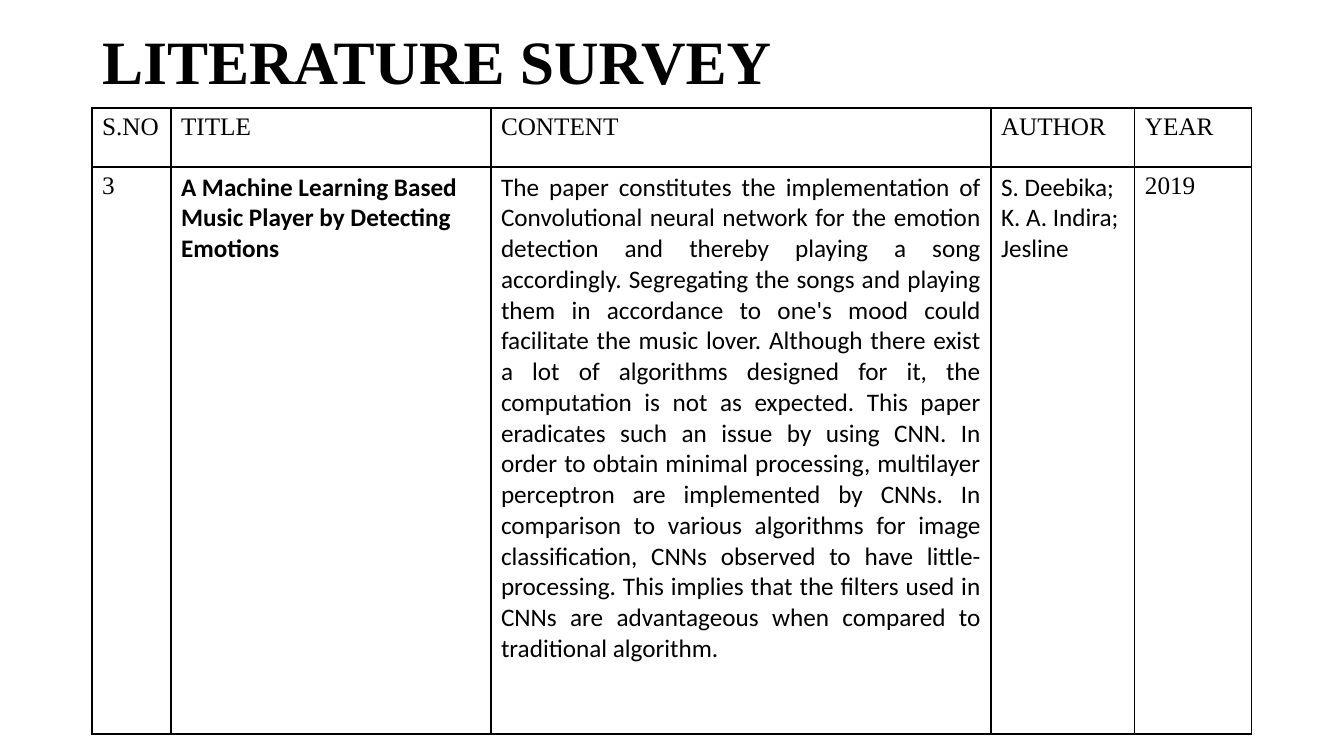
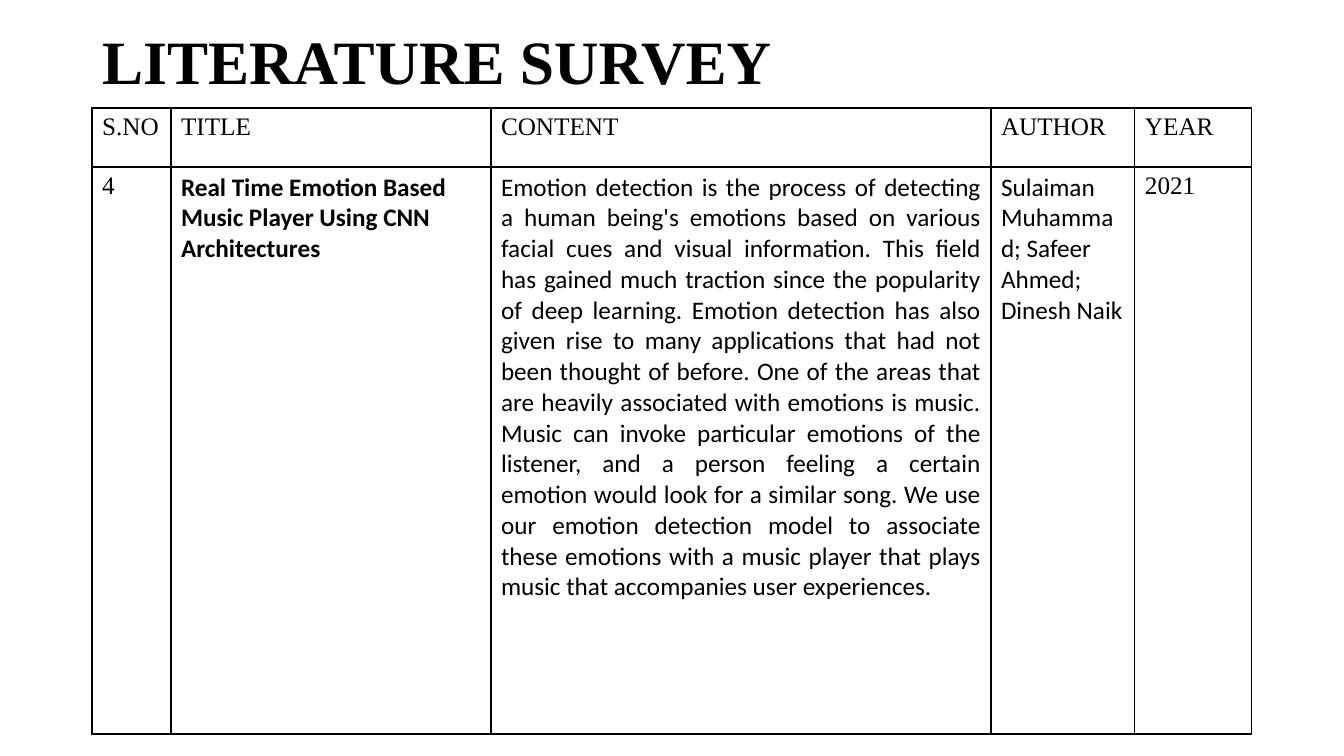
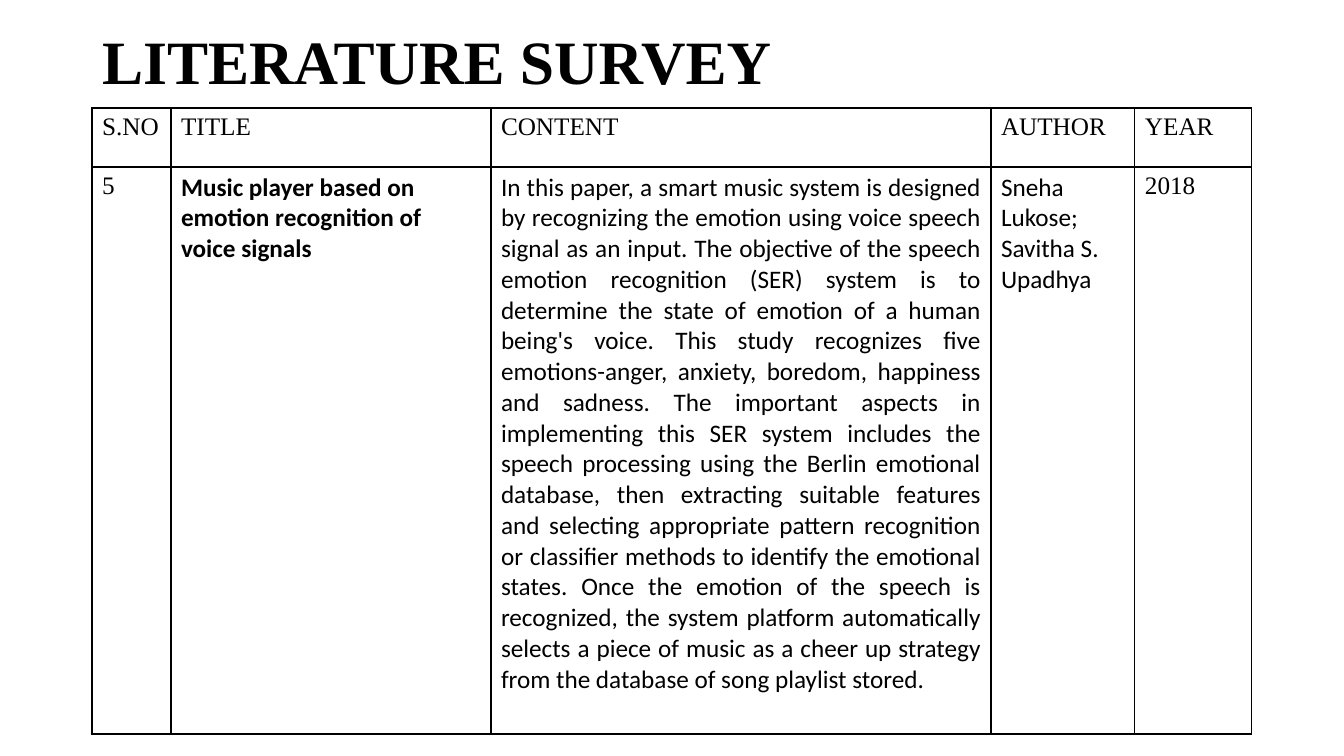
from dataclasses import dataclass
from typing import Any

import lxml.etree
import pptx
import pptx.dml.color
import pptx.enum.text
import pptx.oxml.ns
import pptx.util

EMU_PER_PX = 9071.43
SLIDE_SIZE = (1344, 756)
TITLE_BOX = {"left": 92, "top": 22, "width": 1160, "height": 86}
TABLE_LEFT, TABLE_TOP = 92, 108
ROW_HEIGHTS = (59, 567)
BORDER_WIDTH = pptx.util.Pt(1)
COLOURS = {"text": "000000", "border": "000000", "background": "FFFFFF"}
SERIF, SANS = "Times New Roman", "Calibri"
ALIGN = pptx.enum.text.PP_ALIGN
TITLE_FONT = {"name": SERIF, "size": pptx.util.Pt(44), "bold": True}


@dataclass(frozen=True)
class Column:
    heading: str
    width: int
    font_name: str = SERIF
    bold: bool = False
    alignment: Any = ALIGN.LEFT


@dataclass(frozen=True)
class Paper:
    number: str
    title: str
    content: str
    author: str
    year: str

    def cells(self) -> tuple[str, ...]:
        return self.number, self.title, self.content, self.author, self.year


COLUMNS = (
    Column("S.NO", 79),
    Column("TITLE", 320, SANS, bold=True),
    Column("CONTENT", 500, SANS, alignment=ALIGN.JUSTIFY),
    Column("AUTHOR", 144, SANS),
    Column("YEAR", 117),
)

PAPERS = (
    Paper(
        "3",
        "A Machine Learning Based Music Player by Detecting Emotions",
        "The paper constitutes the implementation of Convolutional neural network for the "
        "emotion detection and thereby playing a song accordingly. Segregating the songs and "
        "playing them in accordance to one's mood could facilitate the music lover. Although "
        "there exist a lot of algorithms designed for it, the computation is not as expected. "
        "This paper eradicates such an issue by using CNN. In order to obtain minimal "
        "processing, multilayer perceptron are implemented by CNNs. In comparison to various "
        "algorithms for image classification, CNNs observed to have little-processing. This "
        "implies that the filters used in CNNs are advantageous when compared to traditional "
        "algorithm. ",
        "S. Deebika; K. A. Indira; Jesline",
        "2019",
    ),
    Paper(
        "4",
        "Real Time Emotion Based Music Player Using CNN Architectures",
        "Emotion detection is the process of detecting a human being's emotions based on "
        "various facial cues and visual information. This field has gained much traction since "
        "the popularity of deep learning. Emotion detection has also given rise to many "
        "applications that had not been thought of before. One of the areas that are heavily "
        "associated with emotions is music. Music can invoke particular emotions of the "
        "listener, and a person feeling a certain emotion would look for a similar song. We "
        "use our emotion detection model to associate these emotions with a music player that "
        "plays music that accompanies user experiences.",
        "Sulaiman Muhammad; Safeer Ahmed; Dinesh Naik",
        "2021",
    ),
    Paper(
        "5",
        "Music player based on emotion recognition of voice signals",
        "In this paper, a smart music system is designed by recognizing the emotion using "
        "voice speech signal as an input. The objective of the speech emotion recognition "
        "(SER) system is to determine the state of emotion of a human being's voice. This "
        "study recognizes five emotions-anger, anxiety, boredom, happiness and sadness. The "
        "important aspects in implementing this SER system includes the speech processing "
        "using the Berlin emotional database, then extracting suitable features and selecting "
        "appropriate pattern recognition or classifier methods to identify the emotional "
        "states. Once the emotion of the speech is recognized, the system platform "
        "automatically selects a piece of music as a cheer up strategy from the database of "
        "song playlist stored. ",
        "Sneha Lukose; Savitha S. Upadhya",
        "2018",
    ),
)


def px(length: int) -> pptx.util.Emu:
    return pptx.util.Emu(round(length * EMU_PER_PX))


def rgb(role: str) -> pptx.dml.color.RGBColor:
    return pptx.dml.color.RGBColor.from_string(COLOURS[role])


def set_attributes(target: Any, values: dict[str, Any]) -> None:
    for attribute, value in values.items():
        setattr(target, attribute, value)


def write(paragraph: Any, text: str, font: dict[str, Any], alignment: Any) -> None:
    paragraph.alignment = alignment
    run = paragraph.add_run()
    run.text = text
    set_attributes(run.font, font)
    run.font.color.rgb = rgb("text")


def add_borders(cell: Any) -> None:
    """Outline all four sides; the lines must come before the cell's fill."""
    qn = pptx.oxml.ns.qn
    properties = cell._tc.get_or_add_tcPr()
    for position, side in enumerate(("a:lnL", "a:lnR", "a:lnT", "a:lnB")):
        line = lxml.etree.Element(qn(side), w=str(BORDER_WIDTH))
        fill = lxml.etree.SubElement(line, qn("a:solidFill"))
        lxml.etree.SubElement(fill, qn("a:srgbClr"), val=COLOURS["border"])
        properties.insert(position, line)


def add_title(slide: Any) -> None:
    title = slide.shapes.title
    set_attributes(title, {side: px(length) for side, length in TITLE_BOX.items()})
    set_attributes(title.text_frame, {
        "vertical_anchor": pptx.enum.text.MSO_ANCHOR.MIDDLE,
        "auto_size": pptx.enum.text.MSO_AUTO_SIZE.NONE,
        "word_wrap": True,
    })
    heading = title.text_frame.paragraphs[0]
    heading.line_spacing = 0.9
    write(heading, "LITERATURE SURVEY", TITLE_FONT, ALIGN.LEFT)


def add_survey_table(slide: Any, paper: Paper) -> None:
    width = sum(column.width for column in COLUMNS)
    survey = slide.shapes.add_table(
        len(ROW_HEIGHTS), len(COLUMNS),
        px(TABLE_LEFT), px(TABLE_TOP), px(width), px(sum(ROW_HEIGHTS)),
    ).table
    set_attributes(survey, {"first_row": False, "horz_banding": False})
    for row, height in zip(survey.rows, ROW_HEIGHTS):
        row.height = px(height)
    for index, (column, entry) in enumerate(zip(COLUMNS, paper.cells())):
        survey.columns[index].width = px(column.width)
        styled_texts = (
            (column.heading, SERIF, False, ALIGN.LEFT),
            (entry, column.font_name, column.bold, column.alignment),
        )
        for row_index, (text, name, bold, alignment) in enumerate(styled_texts):
            cell = survey.cell(row_index, index)
            cell.fill.background()
            add_borders(cell)
            font = {"name": name, "size": pptx.util.Pt(18), "bold": bold}
            write(cell.text_frame.paragraphs[0], text, font, alignment)


def main() -> None:
    deck = pptx.Presentation()
    deck.slide_width, deck.slide_height = map(px, SLIDE_SIZE)
    background = deck.slide_master.background.fill
    background.solid()
    background.fore_color.rgb = rgb("background")
    title_only = deck.slide_layouts[5]
    for paper in PAPERS:
        slide = deck.slides.add_slide(title_only)
        add_title(slide)
        add_survey_table(slide, paper)
    deck.save("out.pptx")


if __name__ == "__main__":
    main()
